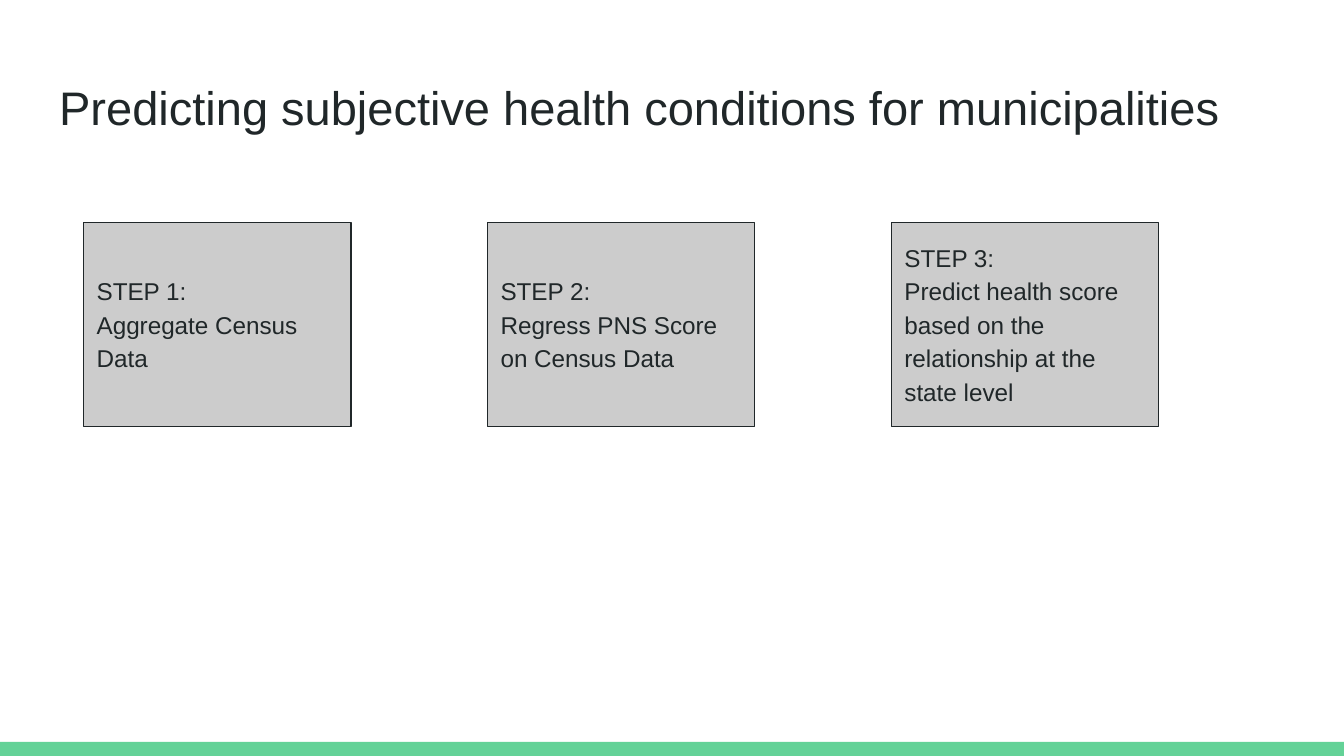
from pptx import Presentation
from pptx import util as u
from pptx.dml.color import RGBColor
from pptx.enum import shapes, text

INK = RGBColor(0x20, 0x27, 0x29)
GREY = RGBColor(0xCC, 0xCC, 0xCC)
GREEN = RGBColor(0x63, 0xD2, 0x97)
WIDTH = u.Inches(10)
HEIGHT = WIDTH * 9 // 16
FONT = "Arial"

TITLE = "Predicting subjective health conditions for municipalities"
STEPS = [
    "Aggregate Census Data",
    "Regress PNS Score on Census Data",
    "Predict health score based on the relationship at the state level",
]


def share(left, top, width, height):
    """Turn percentages of the slide's size into a box."""
    return (int(WIDTH * left / 100), int(HEIGHT * top / 100),
            int(WIDTH * width / 100), int(HEIGHT * height / 100))


def add_run(paragraph, words, size):
    run = paragraph.add_run()
    run.text = words
    run.font.name = FONT
    run.font.size = u.Pt(size)
    run.font.color.rgb = INK


def set_frame(frame, anchor):
    frame.word_wrap = True
    frame.auto_size = text.MSO_AUTO_SIZE.NONE
    frame.vertical_anchor = anchor
    frame.margin_left = frame.margin_right = u.Inches(0.1)
    frame.margin_top = frame.margin_bottom = u.Inches(0.1)


def add_rectangle(slide, box, fill):
    shape = slide.shapes.add_shape(shapes.MSO_SHAPE.RECTANGLE, *box)
    shape.shadow.inherit = False
    shape.fill.solid()
    shape.fill.fore_color.rgb = fill
    shape.line.fill.background()
    return shape


def place_title(slide, box):
    title = slide.shapes.title
    title.left, title.top, title.width, title.height = box
    set_frame(title.text_frame, text.MSO_ANCHOR.TOP)
    paragraph = title.text_frame.paragraphs[0]
    paragraph.alignment = text.PP_ALIGN.JUSTIFY
    paragraph.line_spacing = 1.0
    paragraph.space_before = u.Pt(0)
    add_run(paragraph, TITLE, 25.2)


def add_step(slide, box, number, description):
    shape = add_rectangle(slide, box, GREY)
    shape.line.color.rgb = INK
    shape.line.width = u.Pt(0.75)
    frame = shape.text_frame
    set_frame(frame, text.MSO_ANCHOR.MIDDLE)
    heading, body = frame.paragraphs[0], frame.add_paragraph()
    for paragraph, words in ((heading, f"STEP {number}:"), (body, description)):
        paragraph.alignment = text.PP_ALIGN.LEFT
        add_run(paragraph, words, 13)
    body.line_spacing = 1.15
    body.space_after = u.Pt(12)


def add_steps(slide, box):
    """Spread the steps evenly over the box, from its left to its right edge."""
    left, top, width, height = box
    step_width = int(WIDTH * 0.199)
    pitch = (width - step_width) // (len(STEPS) - 1)
    for index, description in enumerate(STEPS):
        step_box = (left + index * pitch, top, step_width, height)
        add_step(slide, step_box, index + 1, description)


def main():
    presentation = Presentation()
    presentation.slide_width, presentation.slide_height = WIDTH, HEIGHT
    slide = presentation.slides.add_slide(presentation.slide_layouts[5])
    add_rectangle(slide, share(0, 98.13, 100, 1.87), GREEN)
    place_title(slide, share(3.4, 8.65, 93.2, 11.2))
    add_steps(slide, share(6.21, 29.42, 80, 27.02))
    presentation.save("out.pptx")


if __name__ == "__main__":
    main()
